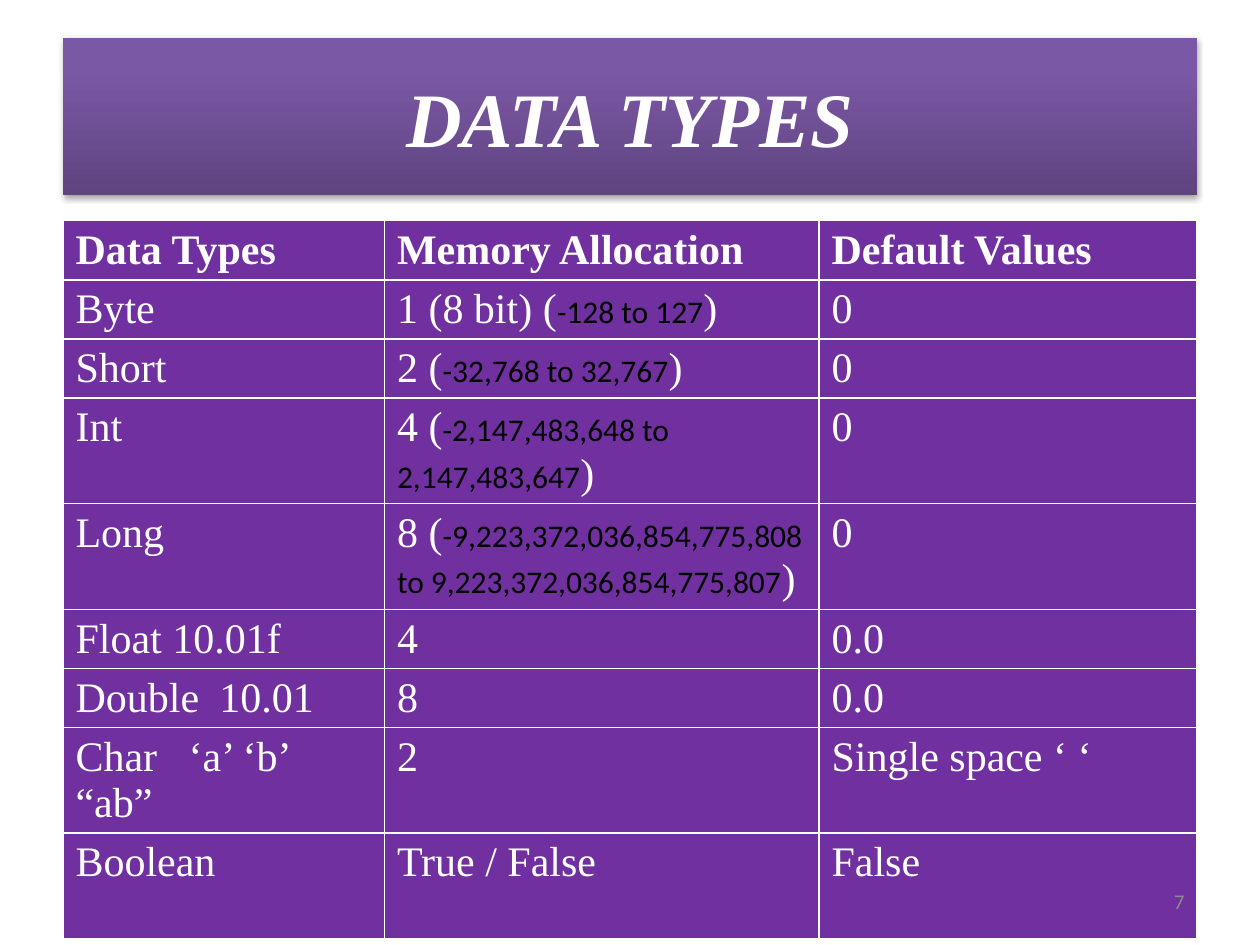
from lxml import etree
from pptx import Presentation
from pptx.dml.color import RGBColor
from pptx.enum.text import MSO_ANCHOR, PP_ALIGN
from pptx.oxml import parse_xml
from pptx.oxml.ns import nsdecls, qn
from pptx.util import Cm, Pt

CENTER, RIGHT = PP_ALIGN.CENTER, PP_ALIGN.RIGHT
MIDDLE = MSO_ANCHOR.MIDDLE
SERIF, SANS = "Times New Roman", "Calibri"
COLORS = {
    "cell": "7030A0",
    "light": "FFFFFF",
    "range": "000000",
    "number": "8C8C8C",
    "banner_bottom": "5F4480",
    "banner_middle": "7B58A6",
    "banner_top": "7C57A8",
}
COLUMN_WIDTHS = [6.48, 8.76, 7.62]
SINGLE_ROW, DOUBLE_ROW = 1.19, 2.13
TAB_STOPS = [2.28, 2.9]
HEADER = ["Data Types", "Memory Allocation", "Default Values"]
DATA_TYPES = [
    ("Byte", ["1 (8 bit) (", "-128 to 127", ")"], "0", SINGLE_ROW),
    ("Short", ["2 (", "-32,768 to 32,767", ")"], "0", SINGLE_ROW),
    ("Int", ["4 (", "-2,147,483,648 to 2,147,483,647", ")"], "0", DOUBLE_ROW),
    ("Long", ["8 (", "-9,223,372,036,854,775,808 to 9,223,372,036,854,775,807", ")"],
     "0", DOUBLE_ROW),
    ("Float 10.01f", ["4"], "0.0", SINGLE_ROW),
    ("Double\t10.01", ["8"], "0.0", SINGLE_ROW),
    ("Char\t‘a’ ‘b’ “ab”", ["2"], "Single space ‘ ‘", DOUBLE_ROW),
    ("Boolean", ["True / False"], "False", DOUBLE_ROW),
]


class SlideBuilder:
    def __init__(self, slide):
        self.slide = slide

    def style(self, font, size, color, face=SERIF, bold=False, italic=False):
        font.name, font.size = face, Pt(size)
        font.bold, font.italic = bold, italic
        font.color.rgb = RGBColor.from_string(COLORS[color])

    def banner(self, text, left, top, width, height):
        title = self.slide.shapes.title
        title.left, title.top = Cm(left), Cm(top)
        title.width, title.height = Cm(width), Cm(height)
        stops = "".join(
            f'<a:gs pos="{position * 1000}"><a:srgbClr val="{COLORS[name]}"/></a:gs>'
            for position, name in
            [(0, "banner_bottom"), (80, "banner_middle"), (100, "banner_top")])
        properties = title.element.spPr
        properties.append(parse_xml(
            f'<a:gradFill {nsdecls("a")} rotWithShape="1"><a:gsLst>{stops}</a:gsLst>'
            '<a:lin ang="16200000" scaled="0"/></a:gradFill>'))
        properties.append(parse_xml(
            f'<a:effectLst {nsdecls("a")}><a:outerShdw blurRad="{Pt(3.1)}" '
            f'dist="{Pt(1.8)}" dir="5400000" rotWithShape="0">'
            '<a:srgbClr val="000000"><a:alpha val="35000"/></a:srgbClr>'
            '</a:outerShdw></a:effectLst>'))
        frame = title.text_frame
        frame.text = text
        frame.vertical_anchor = MIDDLE
        frame.paragraphs[0].alignment = CENTER
        self.style(frame.paragraphs[0].runs[0].font, 44, "light", bold=True, italic=True)

    def cell(self, cell, parts, bold=False):
        cell.fill.solid()
        cell.fill.fore_color.rgb = RGBColor.from_string(COLORS["cell"])
        paragraph = cell.text_frame.paragraphs[0]
        if "\t" in parts[0]:
            tabs = etree.SubElement(paragraph._p.get_or_add_pPr(), qn("a:tabLst"))
            for stop in TAB_STOPS:
                etree.SubElement(tabs, qn("a:tab"), pos=str(Cm(stop)), algn="l")
        for index, part in enumerate(parts):
            run = paragraph.add_run()
            run.text = part
            if index == 1:
                self.style(run.font, 18, "range", face=SANS)
            else:
                self.style(run.font, 24, "light", bold=bold)

    def table(self, left, top):
        heights = [SINGLE_ROW] + [entry[-1] for entry in DATA_TYPES]
        table = self.slide.shapes.add_table(
            len(heights), len(HEADER), Cm(left), Cm(top),
            Cm(sum(COLUMN_WIDTHS)), Cm(sum(heights))).table
        for column, width in zip(table.columns, COLUMN_WIDTHS):
            column.width = Cm(width)
        for row, height in zip(table.rows, heights):
            row.height = Cm(height)
        for column, heading in enumerate(HEADER):
            self.cell(table.cell(0, column), [heading], bold=True)
        for row, (name, memory, default, _) in enumerate(DATA_TYPES, 1):
            for column, parts in enumerate([[name], memory, [default]]):
                self.cell(table.cell(row, column), parts)

    def page_number(self, text, left, top, width, height):
        frame = self.slide.shapes.add_textbox(
            Cm(left), Cm(top), Cm(width), Cm(height)).text_frame
        frame.word_wrap = True
        frame.vertical_anchor = MIDDLE
        frame.text = text
        frame.paragraphs[0].alignment = RIGHT
        self.style(frame.paragraphs[0].runs[0].font, 12, "number", face=SANS)


def main():
    presentation = Presentation()
    presentation.slide_width, presentation.slide_height = Cm(25.4), Cm(19.05)
    builder = SlideBuilder(
        presentation.slides.add_slide(presentation.slide_layouts[5]))
    builder.banner("DATA TYPES", 1.27, 0.76, 22.86, 3.18)
    builder.table(1.27, 4.45)
    builder.page_number("7", 18.2, 17.65, 5.93, 1.02)
    presentation.save("out.pptx")


if __name__ == "__main__":
    main()
